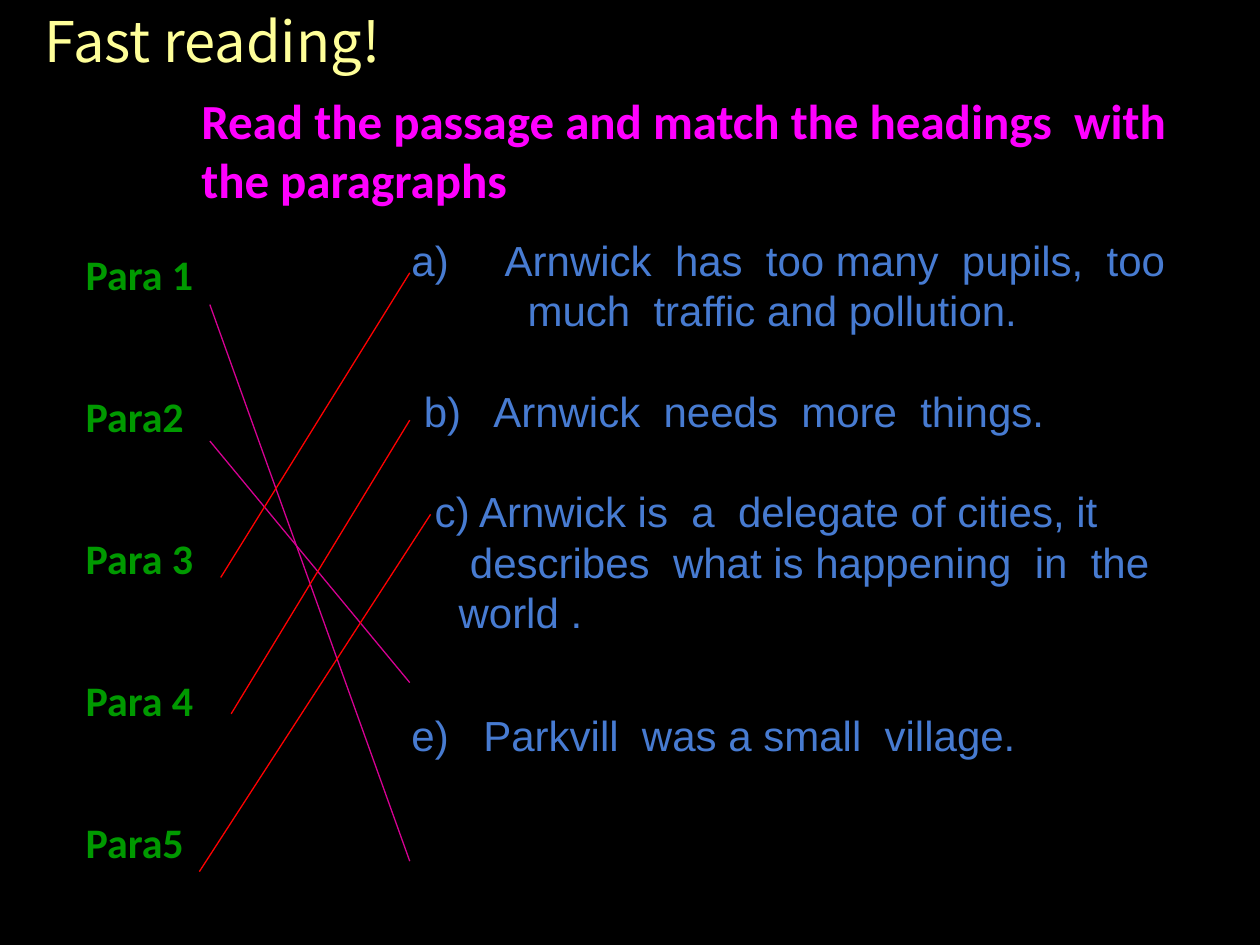
"""Build a reading exercise slide that matches paragraphs with their headings."""
from pptx import Presentation
from pptx.dml.color import RGBColor
from pptx.enum.shapes import MSO_CONNECTOR as Connector
from pptx.enum.text import MSO_ANCHOR as Anchor, MSO_AUTO_SIZE as AutoSize, PP_ALIGN as Align
from pptx.oxml.ns import qn
from pptx.util import Cm, Pt
from lxml.etree import SubElement

BLACK = RGBColor(0x00, 0x00, 0x00)
YELLOW = RGBColor(0xFF, 0xFF, 0x99)
MAGENTA = RGBColor(0xFF, 0x00, 0xFF)
GREEN = RGBColor(0x00, 0x99, 0x00)
BLUE = RGBColor(0x47, 0x7B, 0xD1)
PINK = RGBColor(0xD6, 0x00, 0x93)
RED = RGBColor(0xFF, 0x00, 0x00)


def place(part, left, top, width, height):
    box = {"left": Cm(left), "top": Cm(top), "width": Cm(width), "height": Cm(height)}
    for name, value in box.items():
        setattr(part, name, value)
    frame = part.text_frame
    settings = {"word_wrap": True, "auto_size": AutoSize.NONE, "vertical_anchor": Anchor.TOP}
    for name, value in settings.items():
        setattr(frame, name, value)
    return frame


def write(frame, lines, color, style, line_spacing=1.0):
    for number, (text, gap, margin, indent) in enumerate(lines):
        paragraph = frame.add_paragraph() if number else frame.paragraphs[0]
        layout = {"alignment": Align.LEFT, "space_before": Pt(gap), "line_spacing": line_spacing}
        for name, value in layout.items():
            setattr(paragraph, name, value)
        properties = paragraph._p.get_or_add_pPr()
        properties.set("marL", str(Cm(margin)))
        properties.set("indent", str(Cm(indent)))
        SubElement(properties, qn("a:buNone"))
        run = paragraph.add_run()
        run.text = text
        for name, value in style.items():
            setattr(run.font, name, value)
        run.font.color.rgb = color


deck = Presentation()
deck.slide_width, deck.slide_height = Cm(25.4), Cm(19.05)
slide = deck.slides.add_slide(deck.slide_layouts[3])
slide.background.fill.solid()
slide.background.fill.fore_color.rgb = BLACK
lesson, paragraphs, headings = slide.placeholders

write(place(lesson, 0.64, 0, 8, 2.11), [("Fast reading!", 0, 0, 0)], YELLOW,
      {"name": "Noto Sans CJK SC", "size": Pt(32), "bold": False})

task = slide.shapes.add_textbox(0, 0, 0, 0)
write(place(task, 3.81, 1.7, 20.96, 2.62),
      [("Read the passage and match the headings  with the paragraphs", 0, 0, 0)], MAGENTA,
      {"name": "Calibri", "size": Pt(28), "bold": True})

labels = ["Para 1", "Para2", "Para 3", "Para 4", "Para5"]
write(place(paragraphs, 1.47, 4.88, 5.51, 13.44),
      [(label, 52.4 if number else 0, 0, 0) for number, label in enumerate(labels)], GREEN,
      {"name": "Calibri", "size": Pt(24), "bold": True})

heading_lines = [
    ("a)\tArnwick  has  too many  pupils,  too", 0, 1.88, -1.88),
    ("much  traffic and pollution.", 0, 2.34, 0),
    ("b)\tArnwick  needs  more  things.", 28.75, 1.65, -1.4),
    ("c) Arnwick is  a  delegate of cities, it", 28.75, 0.95, -0.48),
    ("describes  what is happening  in  the world .", 0, 0.95, 0.23),
    ("e)\tParkvill  was a small  village.", 41.5, 1.45, -1.45),
]
write(place(headings, 8.04, 4.6, 17.35, 12.57), heading_lines, BLUE,
      {"name": "Arial", "size": Pt(24), "bold": False}, line_spacing=Pt(28.75))

matches = [
    (4.23, 6.14, 8.26, 17.36, PINK),
    (4.23, 8.89, 8.26, 13.76, PINK),
    (4.45, 11.64, 8.26, 5.5, RED),
    (4.66, 14.39, 8.26, 8.47, RED),
    (4.02, 17.57, 8.68, 10.37, RED),
]
for *ends, color in matches:
    match = slide.shapes.add_connector(Connector.STRAIGHT, *map(Cm, ends))
    match.line.color.rgb = color
    match.line.width = Pt(0.75)
    SubElement(match._element.spPr, qn("a:effectLst"))

deck.save("out.pptx")
